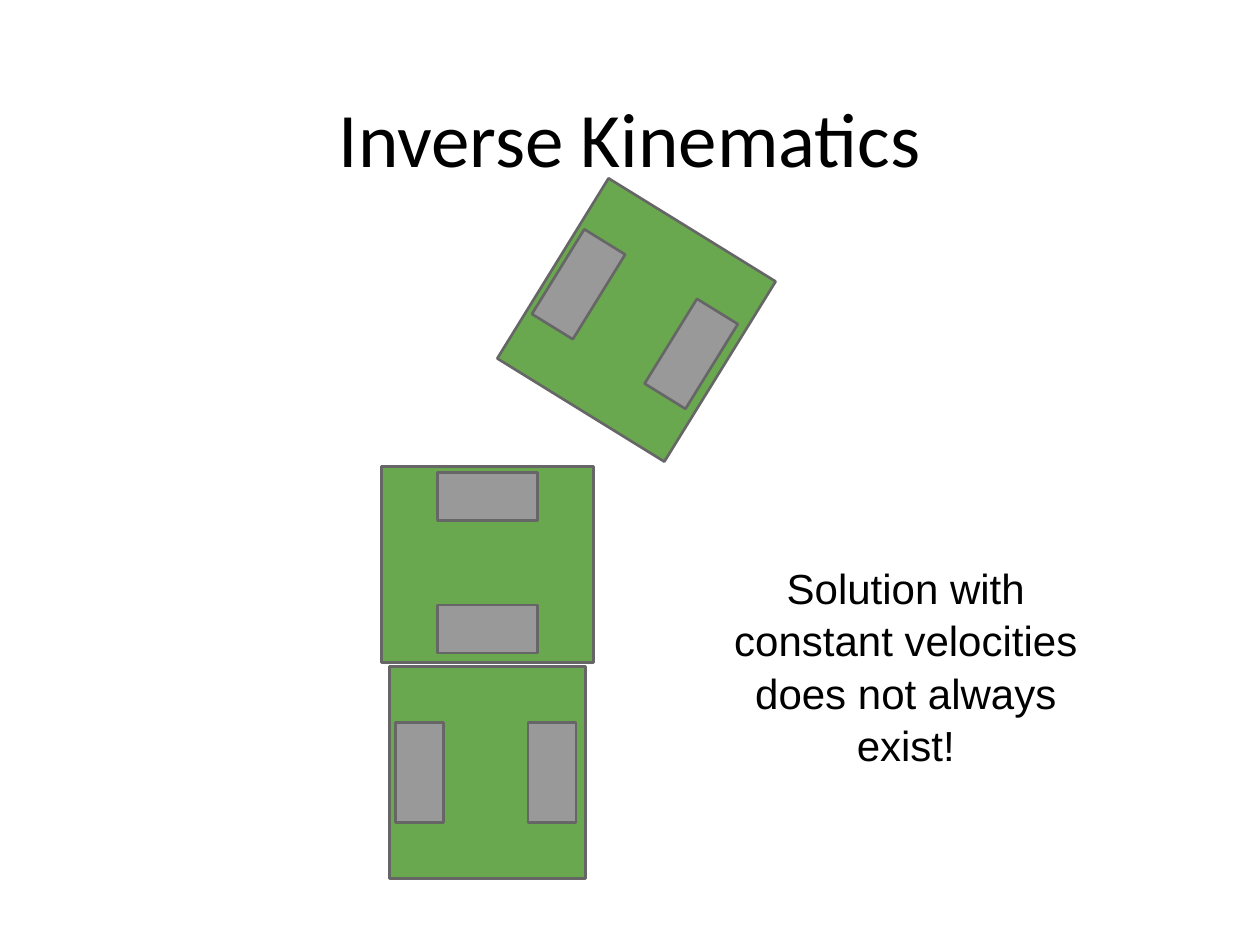
from math import cos, radians, sin

from pptx import Presentation
from pptx import util as u
from pptx.dml.color import RGBColor
from pptx.enum import shapes, text

# Content, lengths in centimetres
TITLE = "Inverse Kinematics"
NOTE = "Solution with constant velocities does not always exist!"
COLOURS = {"body": "6AA84F", "wheel": "999999", "edge": "666666", "text": "000000"}
ROBOTS = [  # centre x, centre y, clockwise rotation
    (9.83, 15.57, 270),
    (12.83, 6.45, 301.7),
    (9.83, 11.38, 0),
]
BODY_SIZE = (4.27, 3.96)
WHEEL_SIZE = (2.01, 0.97)
WHEEL_OFFSETS = (-1.37, 1.3)  # across the body, from its centre


def colour(name):
    return RGBColor.from_string(COLOURS[name])


def write(box, words, size, font, anchor, spacing=1.0):
    frame = box.text_frame
    frame.word_wrap = True
    frame.auto_size = text.MSO_AUTO_SIZE.NONE
    frame.vertical_anchor = anchor
    frame.margin_left = frame.margin_right = u.Cm(0.25)
    frame.margin_top = frame.margin_bottom = u.Cm(0.25)
    para = frame.paragraphs[0]
    para.alignment = text.PP_ALIGN.CENTER
    para.line_spacing = spacing
    span = para.add_run()
    span.text = words
    span.font.size = u.Pt(size)
    span.font.name = font
    span.font.color.rgb = colour("text")


def add_block(group, centre_x, centre_y, size, angle, fill):
    width, height = size
    block = group.shapes.add_shape(
        shapes.MSO_SHAPE.RECTANGLE,
        u.Cm(centre_x - width / 2), u.Cm(centre_y - height / 2),
        u.Cm(width), u.Cm(height))
    block.rotation = angle
    block.shadow.inherit = False
    block.fill.solid()
    block.fill.fore_color.rgb = colour(fill)
    block.line.color.rgb = colour("edge")
    block.line.width = u.Pt(1.5)


def add_robot(page, x, y, angle):
    group = page.shapes.add_group_shape()
    add_block(group, x, y, BODY_SIZE, angle, "body")
    turn = radians(angle)
    for offset in WHEEL_OFFSETS:
        add_block(group, x - offset * sin(turn), y + offset * cos(turn),
                  WHEEL_SIZE, angle, "wheel")


def main():
    deck = Presentation()
    deck.slide_width, deck.slide_height = u.Cm(25.4), u.Cm(19.05)
    page = deck.slides.add_slide(deck.slide_layouts.get_by_name("Title Only"))

    # Title
    title = page.shapes.title
    title.left, title.top = u.Cm(1.27), u.Cm(0.76)
    title.width, title.height = u.Cm(22.86), u.Cm(3.18)
    write(title, TITLE, 44, "Calibri", text.MSO_ANCHOR.BOTTOM)

    # Robot poses
    for x, y, angle in ROBOTS:
        add_robot(page, x, y, angle)

    # Remark
    note = page.shapes.add_textbox(u.Cm(14.02), u.Cm(11.05), u.Cm(8.48), u.Cm(5.72))
    write(note, NOTE, 24, "Arial", text.MSO_ANCHOR.TOP, spacing=1.04)

    deck.save("out.pptx")


if __name__ == "__main__":
    main()
